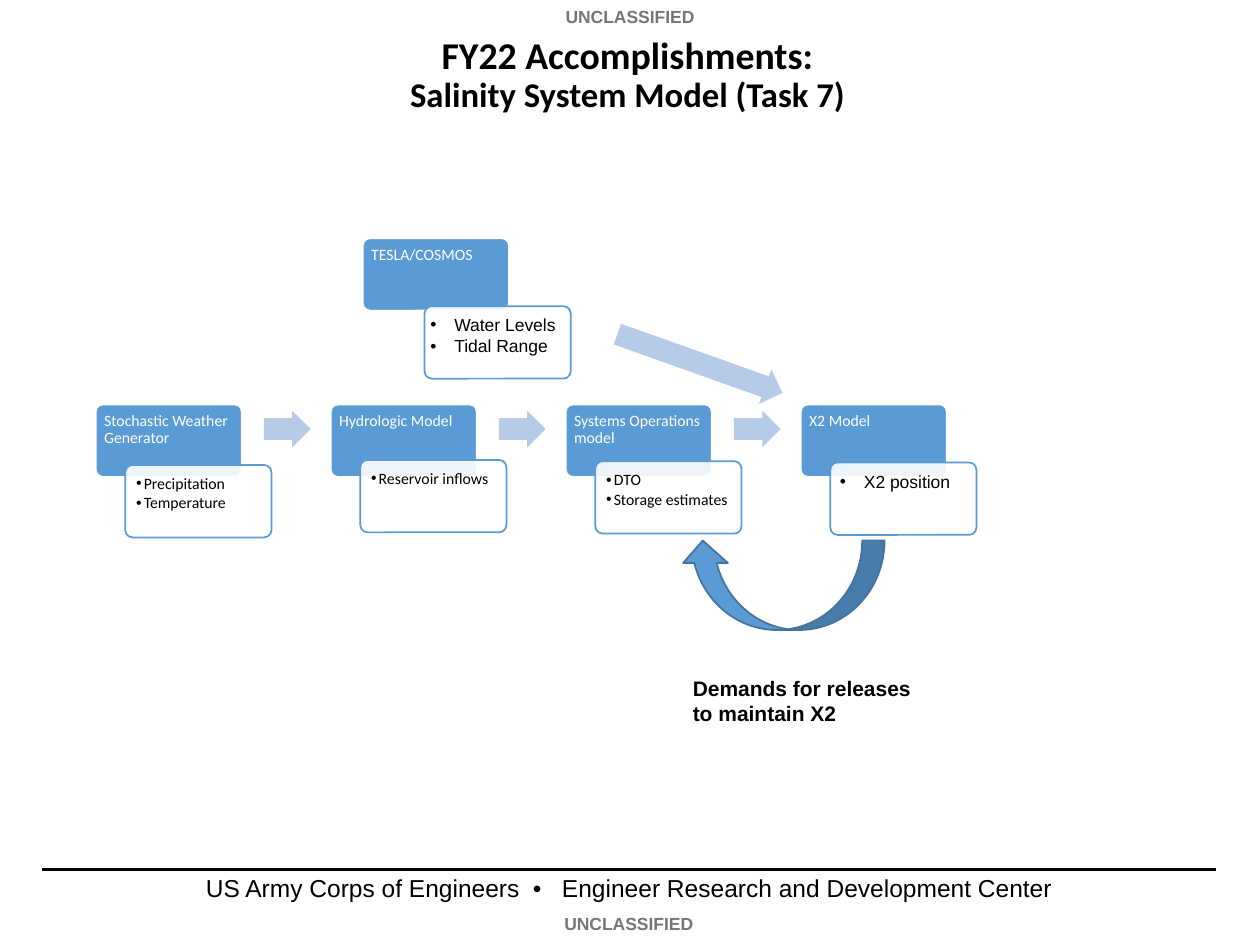
from dataclasses import dataclass

from lxml.etree import SubElement
from pptx import Presentation
from pptx.dml.color import RGBColor
from pptx.enum.shapes import MSO_CONNECTOR, MSO_SHAPE
from pptx.enum.text import MSO_ANCHOR, PP_ALIGN
from pptx.oxml.ns import qn
from pptx.util import Inches, Pt


@dataclass(frozen=True)
class Theme:
    black: str = "000000"
    white: str = "FFFFFF"
    marking: str = "767676"
    blue: str = "5B9BD5"
    edge: str = "43739E"
    pale: str = "B5CBE7"
    body_font: str = "Arial"
    model_font: str = "Calibri"
    title: float = 21.6
    subtitle: float = 19.8
    footer: float = 14
    caption: float = 12
    small: float = 10
    model: float = 9


THEME = Theme()

# Grid of the model chain, in inches
CHAIN_LEFT, COLUMN = 0.76, 1.865
CHAIN_TOP, FORK_TOP = 3.21, 1.89
CARD_W, CARD_H = 1.16, 0.575
NOTE_SHIFT = 0.235
ARROW_SHIFT, ARROW_W, ARROW_H = 1.335, 0.37, 0.29

# Model, its outputs, top of the output card
CHAIN = [
    ("Stochastic Weather Generator", ["Precipitation", "Temperature"], 3.69),
    ("Hydrologic Model", ["Reservoir inflows"], 3.65),
    ("Systems Operations model", ["DTO", "Storage estimates"], 3.66),
    ("X2 Model", ["X2 position"], 3.67),
]


def style(run, size, color, font, bold=False):
    run.font.size = Pt(size)
    run.font.name = font
    run.font.bold = bold
    run.font.color.rgb = RGBColor.from_string(color)


def set_margins(frame, left, top, right, bottom):
    frame.margin_left, frame.margin_top = Inches(left), Inches(top)
    frame.margin_right, frame.margin_bottom = Inches(right), Inches(bottom)


def add_text(slide, box, text, size, color, font=THEME.body_font,
             bold=False, align=PP_ALIGN.LEFT):
    frame = slide.shapes.add_textbox(*map(Inches, box)).text_frame
    frame.word_wrap = True
    frame.text = text
    line = frame.paragraphs[0]
    line.alignment = align
    for run in line.runs:
        style(run, size, color, font, bold)
    return frame


def add_block(slide, preset, box, fill, edge=None, adjust=(), turn=0):
    block = slide.shapes.add_shape(preset, *map(Inches, box))
    block.shadow.inherit = False
    block.rotation = turn
    for index, value in enumerate(adjust):
        block.adjustments[index] = value
    block.fill.solid()
    block.fill.fore_color.rgb = RGBColor.from_string(fill)
    if edge:
        block.line.color.rgb = RGBColor.from_string(edge)
        block.line.width = Pt(1)
    else:
        block.line.fill.background()
    return block


def add_card(slide, left, top, fill, edge, lines, margins):
    card = add_block(slide, MSO_SHAPE.ROUNDED_RECTANGLE,
                     (left, top, CARD_W, CARD_H), fill, edge, [0.1])
    frame = card.text_frame
    frame.word_wrap = True
    frame.vertical_anchor = MSO_ANCHOR.TOP
    set_margins(frame, *margins)
    frame.text = "\n".join(lines)
    for line in frame.paragraphs:
        line.alignment = PP_ALIGN.LEFT
    return card


def add_model(slide, left, top, name):
    card = add_card(slide, left, top, THEME.blue, THEME.white, [name],
                    (0.05, 0.05, 0.05, 0.04))
    line = card.text_frame.paragraphs[0]
    line.line_spacing = 0.9
    style(line.runs[0], THEME.model, THEME.white, THEME.model_font)


def add_bullet(line, indent):
    properties = line._p.get_or_add_pPr()
    properties.set("marL", str(Inches(indent)))
    properties.set("indent", str(-Inches(indent)))
    SubElement(properties, qn("a:buFont"), typeface="Arial")
    SubElement(properties, qn("a:buChar"), char="•")


def add_outputs(slide, left, top, outputs, loose_margin=None):
    """Output card; a loose margin gives the wide-bulleted Arial list."""
    loose = loose_margin is not None
    margins = (loose_margin, 0.05, 0, 0.05) if loose else (0.07,) * 4
    card = add_card(slide, left, top, THEME.white, THEME.blue, outputs, margins)
    color = card.fill._xPr.find(qn("a:solidFill"))[0]
    SubElement(color, qn("a:alpha"), val="90000")
    for line in card.text_frame.paragraphs:
        add_bullet(line, 0.19 if loose else 0.06)
        if loose:
            style(line.runs[0], THEME.small, THEME.black, THEME.body_font)
        else:
            line.line_spacing = 0.9
            line.space_after = Pt(0.15 * THEME.model)
            style(line.runs[0], THEME.model, THEME.black, THEME.model_font)


def add_flow_arrow(slide, left, top, width=ARROW_W, turn=0):
    add_block(slide, MSO_SHAPE.RIGHT_ARROW, (left, top, width, ARROW_H),
              THEME.pale, adjust=[0.6, 0.5], turn=turn)


def add_frame(slide):
    rule = slide.shapes.add_connector(
        MSO_CONNECTOR.STRAIGHT, *map(Inches, (0.33, 6.9, 9.65, 6.9)))
    rule.line.color.rgb = RGBColor.from_string(THEME.black)
    rule.line.width = Pt(1.5)
    SubElement(rule._element.spPr, qn("a:effectLst"))
    add_text(slide, (0.34, 6.88, 9.31, 0.34),
             "US Army Corps of Engineers  •   Engineer Research and Development Center",
             THEME.footer, THEME.black, align=PP_ALIGN.CENTER)
    for left, top in ((0, 0), (-0.01, 7.2)):
        add_text(slide, (left, top, 10, 0.27), "UNCLASSIFIED", THEME.small,
                 THEME.marking, bold=True, align=PP_ALIGN.CENTER)


def add_title(slide):
    title = add_text(slide, (0.17, 0.29, 9.62, 0.63),
                     "FY22 Accomplishments:\vSalinity System Model (Task 7)",
                     THEME.title, THEME.black, THEME.model_font, True,
                     PP_ALIGN.CENTER)
    title.vertical_anchor = MSO_ANCHOR.MIDDLE
    heading = title.paragraphs[0]
    heading.line_spacing = 0.9
    heading.runs[1].font.size = Pt(THEME.subtitle)


def add_chain(slide):
    last = len(CHAIN) - 1
    for column, (name, outputs, outputs_top) in enumerate(CHAIN):
        left = CHAIN_LEFT + column * COLUMN
        add_model(slide, left, CHAIN_TOP, name)
        add_outputs(slide, left + NOTE_SHIFT, outputs_top, outputs,
                    0.06 if column == last else None)
        if column < last:
            add_flow_arrow(slide, left + ARROW_SHIFT, CHAIN_TOP + 0.05)


def main():
    deck = Presentation()
    deck.slide_width, deck.slide_height = Inches(10), Inches(7.5)
    slide = deck.slides.add_slide(deck.slide_layouts[6])

    add_frame(slide)
    add_title(slide)
    add_chain(slide)

    # Water level branch feeding the X2 model
    add_flow_arrow(slide, 4.86, 2.74, width=1.39, turn=19.6)
    add_model(slide, 2.88, FORK_TOP, "TESLA/COSMOS")
    add_outputs(slide, 3.37, 2.43, ["Water Levels", "Tidal Range"], 0.03)

    # Feedback from X2 to system operations
    add_block(slide, MSO_SHAPE.CURVED_DOWN_ARROW, (5.4, 4.29, 1.62, 0.71),
              THEME.blue, THEME.edge, turn=180)
    add_text(slide, (5.4, 5.31, 2.02, 0.5),
             "Demands for releases to maintain X2",
             THEME.caption, THEME.black, bold=True)

    deck.save("out.pptx")


if __name__ == "__main__":
    main()
